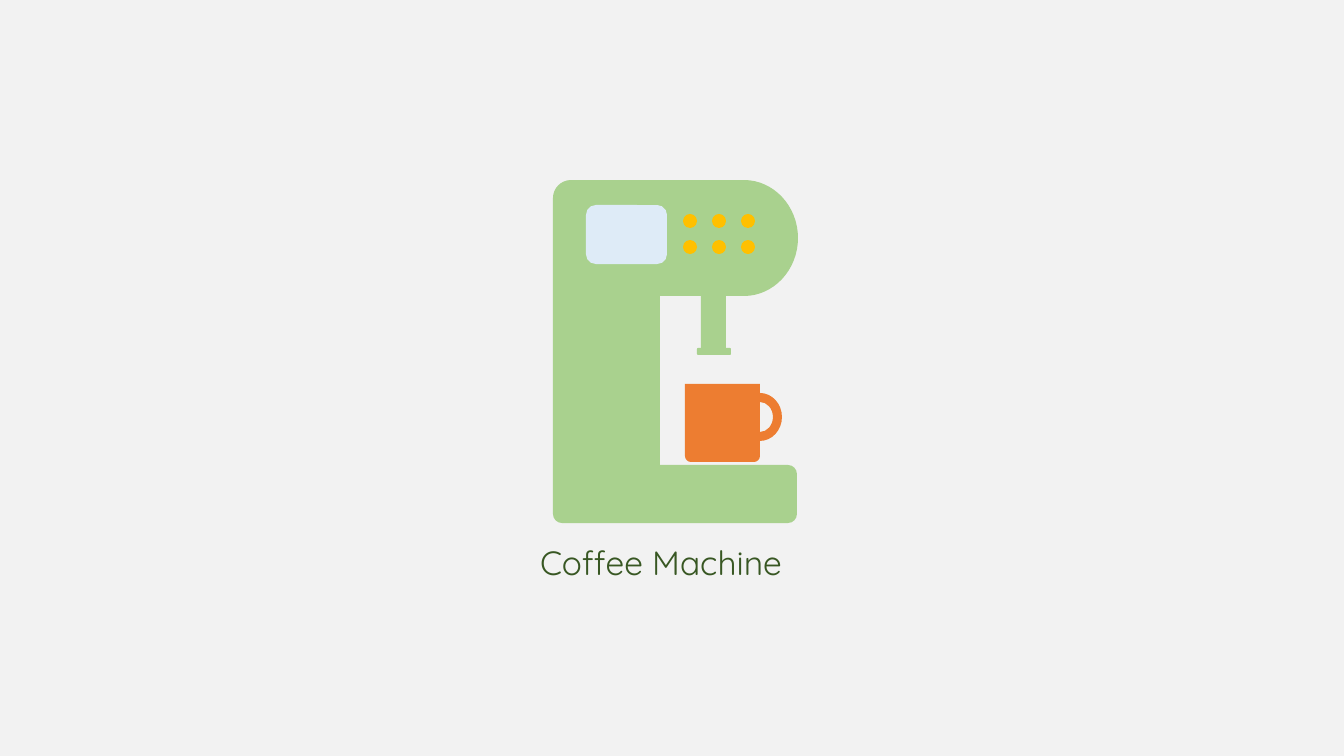
"""Build a slide with a flat coffee machine illustration and its caption."""
import lxml.etree
import pptx
import pptx.dml.color
import pptx.enum.shapes
import pptx.enum.text
import pptx.oxml.ns
import pptx.util

PX = 12192000 / 1344
ROUNDNESS = 0.55
COLORS = {
    "background": "F2F2F2",
    "caption": "385723",
    "machine": "A9D18E",
    "mug": "ED7D31",
    "screen": "DEEBF7",
    "button": "FFC000",
}
RGB = pptx.dml.color.RGBColor.from_string
KIND = pptx.enum.shapes.MSO_SHAPE


def write_text(frame, text, font, size, color, align):
    frame.text = text
    paragraph = frame.paragraphs[0]
    paragraph.alignment = align
    paragraph.line_spacing = 1.0
    run = paragraph.runs[0]
    run.font.name = font
    run.font.size = pptx.util.Pt(size)
    run.font.color.rgb = RGB(color)


def draw_outline(shapes, contours):
    """Draw contours of steps in px: (x, y) is a line, (corner x, corner y, x, y) a quarter curve."""
    builder = shapes.build_freeform(*[v * PX for v in contours[0][0]])
    curve_starts = []
    line_count = 0
    for number, (start, *steps) in enumerate(contours):
        if number:
            builder.move_to(*[v * PX for v in start])
        points = [start]
        for step in steps:
            end = step[-2:]
            if len(step) == 4:
                curve_starts.append(line_count + len(points) - 1)
                corner = step[:2]
                points += [tuple(a + ROUNDNESS * (c - a) for a, c in zip(anchor, corner))
                           for anchor in (points[-1], end)]
            points.append(end)
        line_count += len(points) - 1
        builder.add_line_segments([(x * PX, y * PX) for x, y in points[1:]], close=True)
    outline = builder.convert_to_shape()
    lines = list(outline.element.iter(pptx.oxml.ns.qn("a:lnTo")))
    for first in curve_starts:
        curve = lxml.etree.Element(pptx.oxml.ns.qn("a:cubicBezTo"))
        lines[first].addprevious(curve)
        for line in lines[first:first + 3]:
            curve.append(line[0])
            line.getparent().remove(line)
    return outline


presentation = pptx.Presentation()
presentation.slide_width = round(1344 * PX)
presentation.slide_height = round(756 * PX)
slide = presentation.slides.add_slide(presentation.slide_layouts[5])
slide.background.fill.solid()
slide.background.fill.fore_color.rgb = RGB(COLORS["background"])

caption = slide.shapes.title
caption.left, caption.top, caption.width, caption.height = [round(v * PX) for v in (530, 537, 291, 50)]
write_text(caption.text_frame, "Coffee Machine", font="Quicksand", size=24,
           color=COLORS["caption"], align=pptx.enum.text.PP_ALIGN.LEFT)
caption.text_frame.word_wrap = False
caption.text_frame.auto_size = pptx.enum.text.MSO_AUTO_SIZE.SHAPE_TO_FIT_TEXT
caption.text_frame.vertical_anchor = pptx.enum.text.MSO_ANCHOR.TOP

machine_outline = [
    (571, 180), (744, 180), (798, 180, 798, 238), (798, 296, 744, 296),
    (726, 296), (726, 348), (726, 352, 722, 352), (705, 352), (701, 352, 701, 348), (701, 296),
    (660, 296), (660, 465),
    (788, 465), (797, 465, 797, 474), (797, 514), (797, 523, 788, 523),
    (562, 523), (553, 523, 553, 514), (553, 198), (553, 180, 571, 180),
]
mug_outline = [
    (782, 417), (782, 393, 760, 393), (760, 384), (685, 384),
    (685, 456), (685, 462, 691, 462), (754, 462), (760, 462, 760, 456),
    (760, 441), (782, 441, 782, 417),
]
handle_hole = [(760, 432), (760, 402), (773, 402, 773, 417), (773, 432, 760, 432)]

illustration = slide.shapes.add_group_shape()
parts = [
    (draw_outline(illustration.shapes, [machine_outline]), "machine"),
    (draw_outline(illustration.shapes, [mug_outline, handle_hole]), "mug"),
]

details = [(KIND.ROUNDED_RECTANGLE, (586, 205, 81, 59), "screen")]
for row in range(2):
    for column in range(3):
        details.append((KIND.OVAL, (683 + 29 * column, 214 + 26 * row, 14, 14), "button"))
details.append((KIND.ROUNDED_RECTANGLE, (697, 348, 34, 7), "machine"))
for kind, box, color in details:
    parts.append((illustration.shapes.add_shape(kind, *[round(v * PX) for v in box]), color))

for part, color in parts:
    part.shadow.inherit = False
    part.fill.solid()
    part.fill.fore_color.rgb = RGB(COLORS[color])
    part.line.fill.background()

presentation.save("out.pptx")
